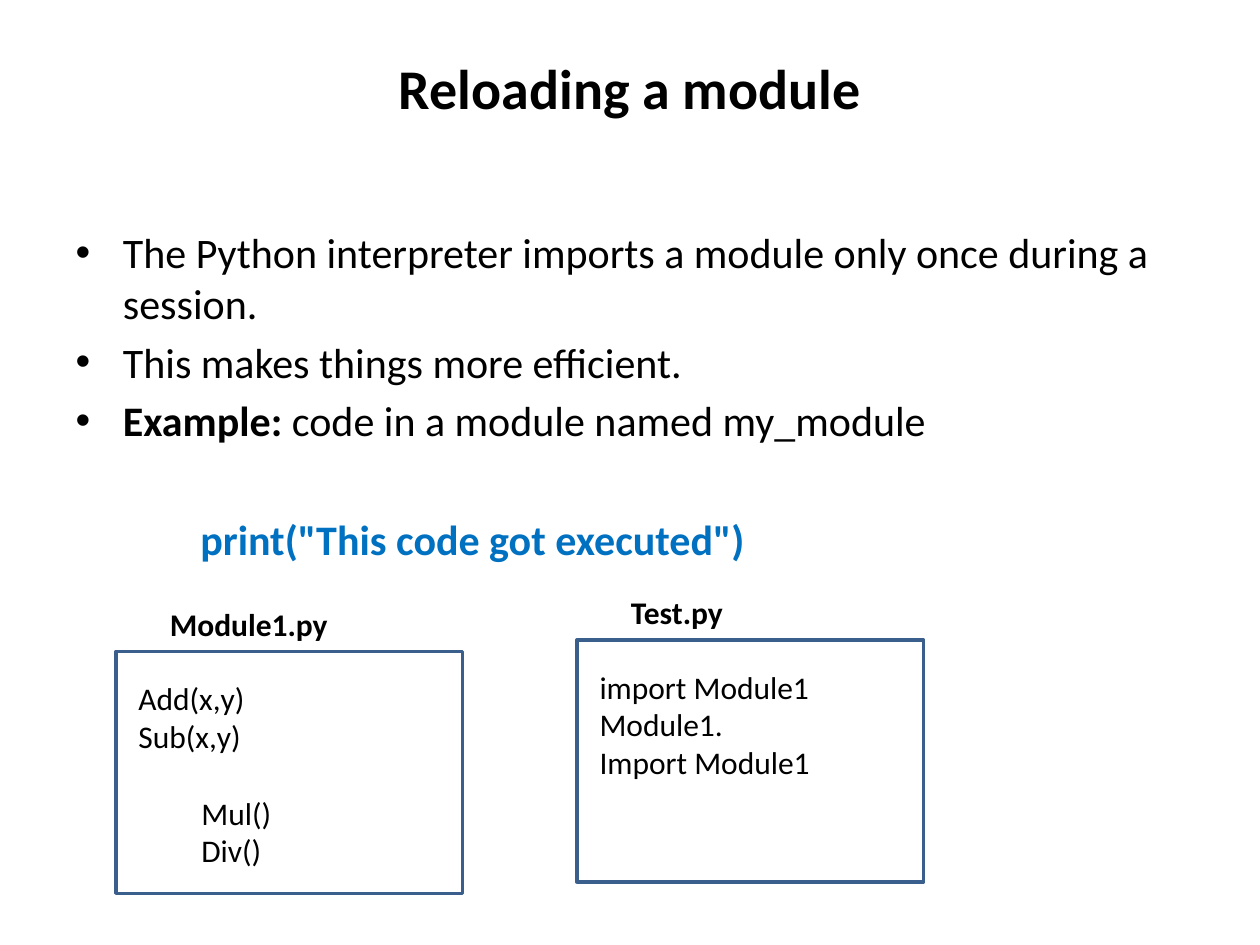
from lxml.etree import SubElement
from pptx import Presentation
from pptx.dml.color import RGBColor
from pptx.enum.shapes import MSO_SHAPE as Shape
from pptx.enum.text import MSO_ANCHOR as Anchor, MSO_AUTO_SIZE as AutoSize, PP_ALIGN as Align
from pptx.oxml.ns import qn
from pptx.util import Inches, Pt

BLACK, BLUE, BORDER = "000000", "0070C0", "3A5F8C"
FONT = "Calibri"

TITLE = "Reloading a module"
BULLETS = [
    [("The Python interpreter imports a module only once during a session.", False)],
    [("This makes things more efficient.", False)],
    [("Example: ", True), ("code in a module named my_module", False)],
]
CODE = 'print("This code got executed")'

# File name, left and top of its box, name width, code lines, code width
FILES = [
    ("Module1.py", 0.92, 5.17, 1.46, ["Add(x,y)", "Sub(x,y)"], 1.05),
    ("Test.py", 4.58, 5.08, 0.94, ["import Module1", "Module1.", "Import Module1"], 1.88),
]
BOX_SIZE = (2.75, 1.92)
NAME_OFFSET = (0.33, -0.42)
CODE_OFFSET = (0.08, 0.17)
LINE_HEIGHT, INSETS = 0.3, 0.1
EXTRA_LINES = ["Mul()", "Div()"]


def color(hex_code):
    return RGBColor.from_string(hex_code)


def place(shape, left, top, width, height):
    box = {"left": left, "top": top, "width": width, "height": height}
    for name, value in box.items():
        setattr(shape, name, Inches(value))


def add_run(paragraph, text, size, bold=False, hex_code=BLACK):
    run = paragraph.add_run()
    run.text = text
    for name, value in {"name": FONT, "size": Pt(size), "bold": bold}.items():
        setattr(run.font, name, value)
    run.font.color.rgb = color(hex_code)


def next_paragraph(frame, index):
    return frame.add_paragraph() if index else frame.paragraphs[0]


def add_lines(slide, left, top, width, lines, bold=False, wrap=False):
    height = LINE_HEIGHT * len(lines) + INSETS
    box = slide.shapes.add_textbox(*map(Inches, (left, top, width, height)))
    frame = box.text_frame
    frame.word_wrap = wrap
    frame.auto_size = AutoSize.SHAPE_TO_FIT_TEXT
    for index, line in enumerate(lines):
        add_run(next_paragraph(frame, index), line, 18, bold)


def add_title(slide):
    title = slide.shapes.title
    place(title, 0.5, 0.3, 9, 0.78)
    frame = title.text_frame
    frame.auto_size = AutoSize.NONE
    frame.vertical_anchor = Anchor.MIDDLE
    paragraph = frame.paragraphs[0]
    paragraph.alignment = Align.CENTER
    add_run(paragraph, TITLE, 32, bold=True)


def add_body(slide):
    body = slide.placeholders[1]
    place(body, 0.5, 1.75, 9, 3.08)
    frame = body.text_frame
    frame.auto_size = AutoSize.NONE
    for index, runs in enumerate(BULLETS):
        paragraph = next_paragraph(frame, index)
        for text, bold in runs:
            add_run(paragraph, text, 24, bold)

    code = frame.add_paragraph()
    code.space_before = Pt(39)
    properties = code._p.get_or_add_pPr()
    properties.set("marL", str(Inches(0.99)))
    properties.set("indent", "0")
    SubElement(properties, qn("a:buNone"))
    add_run(code, CODE, 24, bold=True, hex_code=BLUE)


def add_file(slide, name, left, top, name_width, lines, code_width):
    box = slide.shapes.add_shape(Shape.RECTANGLE, *map(Inches, (left, top, *BOX_SIZE)))
    box.shadow.inherit = False
    box.fill.background()
    box.line.color.rgb = color(BORDER)
    box.line.width = Pt(2)
    for (right, down), width, text, bold in (
        (NAME_OFFSET, name_width, [name], True),
        (CODE_OFFSET, code_width, lines, False),
    ):
        add_lines(slide, left + right, top + down, width, text, bold)


def main():
    presentation = Presentation()
    presentation.slide_width, presentation.slide_height = Inches(10), Inches(7.5)
    slide = presentation.slides.add_slide(presentation.slide_layouts[1])
    add_title(slide)
    add_body(slide)
    for file in FILES:
        add_file(slide, *file)
    add_lines(slide, 1.5, 6.25, 1.42, EXTRA_LINES, wrap=True)
    presentation.save("out.pptx")


if __name__ == "__main__":
    main()
